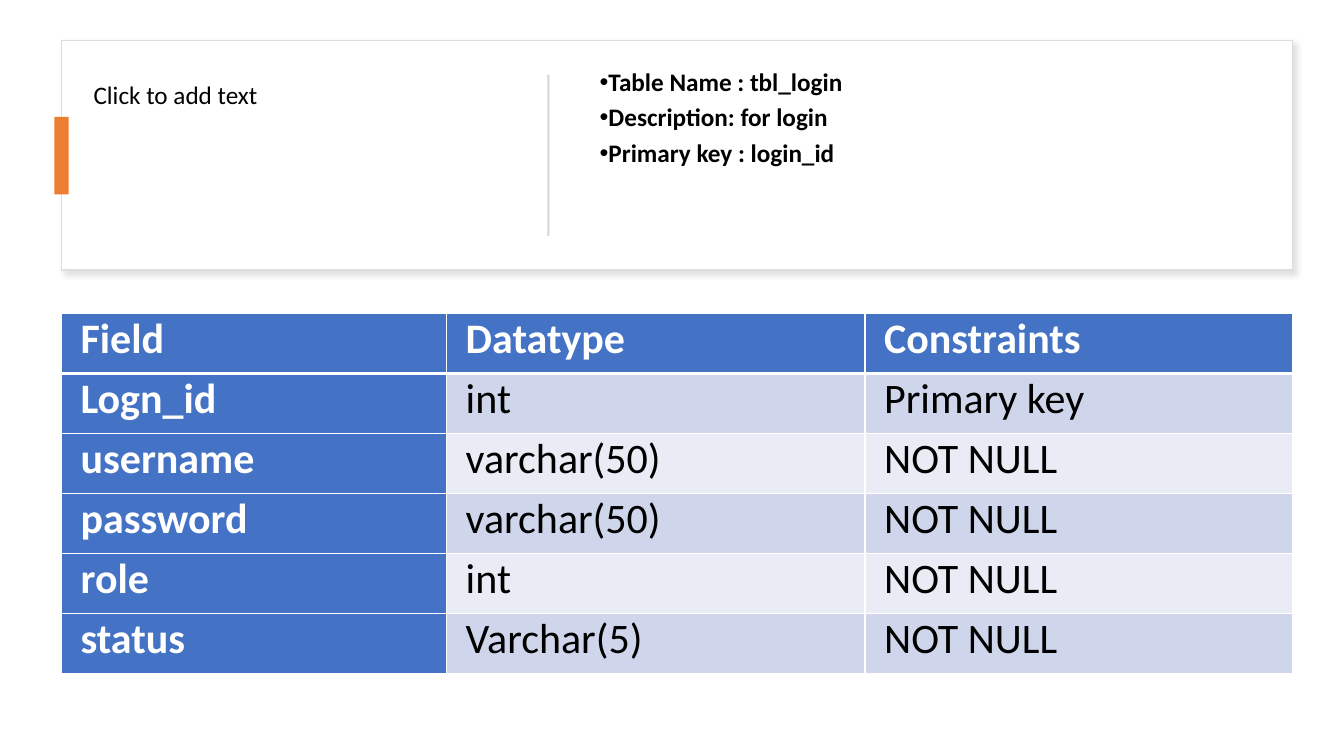
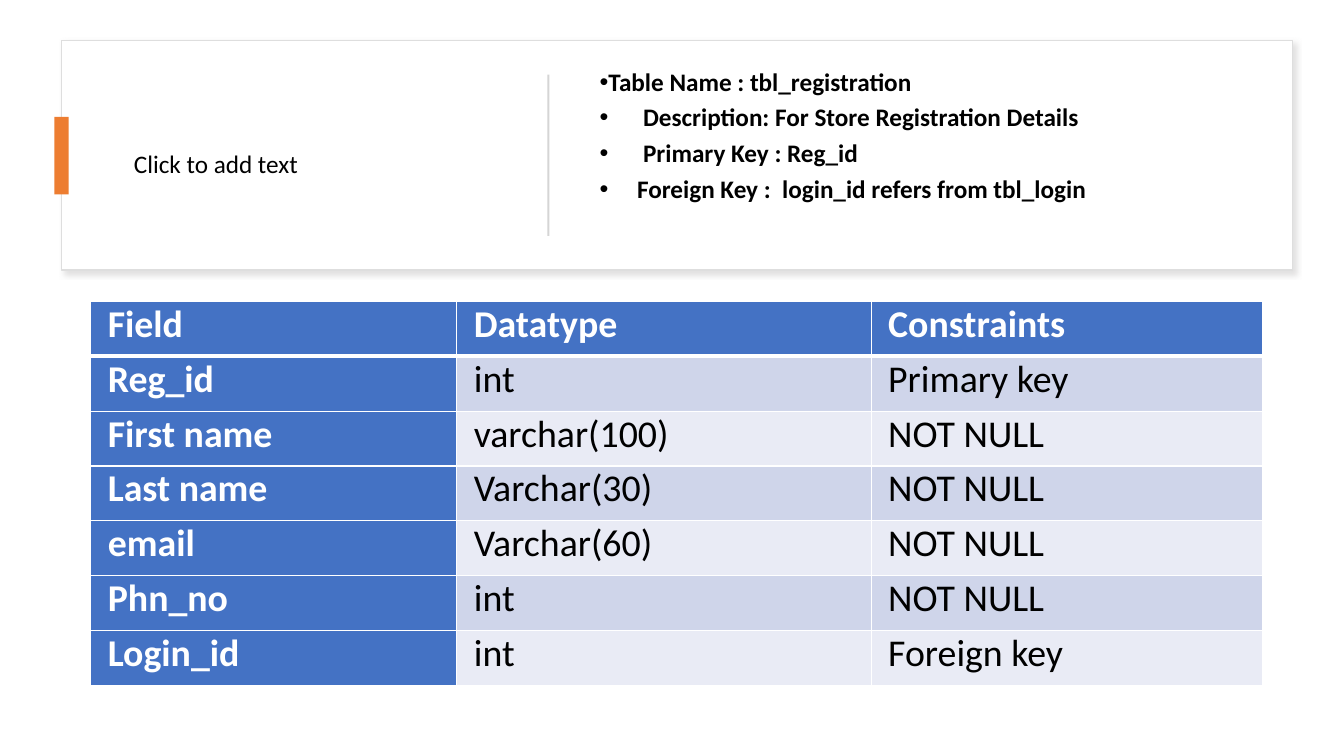
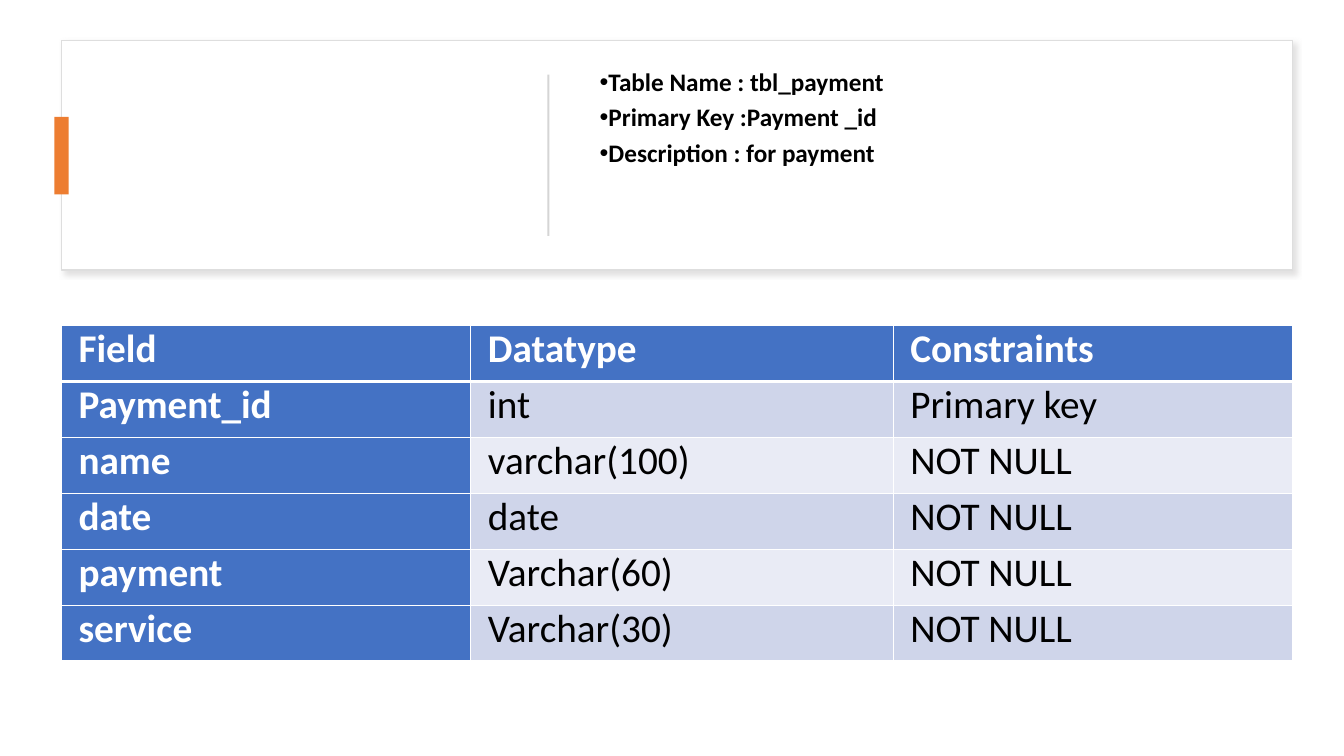
from dataclasses import dataclass

from lxml.etree import SubElement
from pptx import Presentation
from pptx.dml.color import RGBColor as RGB
from pptx.enum.shapes import MSO_SHAPE as SHAPE
from pptx.oxml import parse_xml
from pptx.oxml.ns import nsdecls, qn
from pptx.util import Emu, Pt

SCALE = 9144


def px(n):
    return Emu(n * SCALE)


@dataclass(frozen=True)
class Theme:
    font: str = "Calibri"
    body: int = 18
    white: str = "FFFFFF"
    black: str = "000000"
    outline: str = "DEDEDE"
    shadow: str = "C5C3C3"
    divider: str = "D5D5D5"
    accent: str = "ED7D31"
    head: str = "4472C4"
    bands: tuple = ("CFD5EA", "E9EBF5")
    rule: int = 1
    head_rule: int = 3


class Deck:
    def __init__(self, theme):
        self.theme = theme
        self.prs = Presentation()
        self.prs.slide_width, self.prs.slide_height = px(1333), px(750)
        self.slide = None

    def new_slide(self):
        t = self.theme
        self.slide = self.prs.slides.add_slide(self.prs.slide_layouts[6])
        panel = self.rect(61, 40, 1221, 228, t.white, t.outline)
        self.shadow(panel)
        self.rect(54, 116, 14, 77, t.accent)
        self.rect(543, 74, 2, 160, t.divider)

    def rect(self, x, y, w, h, fill, line=None):
        sp = self.slide.shapes.add_shape(SHAPE.RECTANGLE, px(x), px(y), px(w), px(h))
        sp.shadow.inherit = False
        sp.fill.solid()
        sp.fill.fore_color.rgb = RGB.from_string(fill)
        if line:
            sp.line.color.rgb = RGB.from_string(line)
            sp.line.width = Pt(self.theme.rule)
        else:
            sp.line.fill.background()
        return sp

    def shadow(self, sp):
        effects = sp._element.spPr.find(qn("a:effectLst"))
        effects.append(parse_xml(
            f'<a:outerShdw {nsdecls("a")} blurRad="{Pt(4)}" dist="{Pt(3)}" dir="2700000" '
            f'algn="tl" rotWithShape="0"><a:srgbClr val="{self.theme.shadow}">'
            f'<a:alpha val="50000"/></a:srgbClr></a:outerShdw>'))

    def add_text(self, p, text, size, color, bold=False):
        r = p.add_run()
        r.text = text
        style = {"name": self.theme.font, "size": Pt(size), "bold": bold}
        for key, value in style.items():
            setattr(r.font, key, value)
        r.font.color.rgb = RGB.from_string(color)

    def text_box(self, x, y, w, h):
        tf = self.slide.shapes.add_textbox(px(x), px(y), px(w), px(h)).text_frame
        tf.word_wrap = True
        return tf

    def prompt(self, x, y, w):
        tf = self.text_box(x, y, w, 40)
        self.add_text(tf.paragraphs[0], "Click to add text", self.theme.body, self.theme.black)

    def bullets(self, items):
        tf = self.text_box(585, 64, 656, 180)
        for i, (text, indent) in enumerate(items):
            p = tf.add_paragraph() if i else tf.paragraphs[0]
            for key, value in {"line_spacing": 0.9, "space_after": Pt(6)}.items():
                setattr(p, key, value)
            pPr = p._p.get_or_add_pPr()
            pPr.set("marL", str(px(indent)))
            pPr.set("indent", str(px(-indent)))
            SubElement(pPr, qn("a:buFont"), typeface="Arial")
            SubElement(pPr, qn("a:buChar"), char="•")
            self.add_text(p, text, self.theme.body, self.theme.black, True)

    def borders(self, cell, top, bottom):
        tcPr = cell._tc.get_or_add_tcPr()
        widths = {"lnL": self.theme.rule, "lnR": self.theme.rule, "lnT": top, "lnB": bottom}
        for i, (tag, width) in enumerate(widths.items()):
            tcPr.insert(i, parse_xml(
                f'<a:{tag} {nsdecls("a")} w="{Pt(width)}"><a:solidFill>'
                f'<a:srgbClr val="{self.theme.white}"/></a:solidFill></a:{tag}>'))

    def table(self, x, y, h, widths, size, inset, fields):
        t = self.theme
        rows = [("Field", "Datatype", "Constraints"), *fields]
        tbl = self.slide.shapes.add_table(
            len(rows), len(widths), px(x), px(y), px(sum(widths)), px(h)).table
        tbl.horz_banding = False
        for col, width in zip(tbl.columns, widths):
            col.width = px(width)
        margins = {"margin_left": px(inset), "margin_right": px(inset),
                   "margin_top": 0, "margin_bottom": 0}
        for i, row in enumerate(rows):
            tbl.rows[i].height = px(h) // len(rows)
            for j, text in enumerate(row):
                cell = tbl.cell(i, j)
                for key, value in margins.items():
                    setattr(cell, key, value)
                strong = i == 0 or j == 0
                cell.fill.solid()
                fill = t.head if strong else t.bands[(i - 1) % 2]
                cell.fill.fore_color.rgb = RGB.from_string(fill)
                self.borders(cell, t.head_rule if i == 1 else t.rule,
                             t.head_rule if i == 0 else t.rule)
                self.add_text(cell.text_frame.paragraphs[0], text, size,
                              t.white if strong else t.black, strong)


SLIDES = [
    {
        "bullets": [("Table Name : tbl_login", 0), ("Description: for login", 0),
                    ("Primary key : login_id", 0)],
        "table": {"x": 61, "y": 311, "h": 357, "widths": (382, 415, 424),
                  "size": 30, "inset": 19, "fields": [
                      ("Logn_id", "int", "Primary key"),
                      ("username", "varchar(50)", "NOT NULL"),
                      ("password", "varchar(50)", "NOT NULL"),
                      ("role", "int", "NOT NULL"),
                      ("status", "Varchar(5)", "NOT NULL")]},
        "prompt": (83, 74, 390),
    },
    {
        "bullets": [("Table Name : tbl_registration", 0),
                    ("Description: For Store Registration Details", 43),
                    ("Primary Key : Reg_id", 43),
                    ("Foreign Key :  login_id refers from tbl_login", 37)],
        "table": {"x": 90, "y": 299, "h": 381, "widths": (363, 411, 388),
                  "size": 27, "inset": 17, "fields": [
                      ("Reg_id", "int", "Primary key"),
                      ("First name", "varchar(100)", "NOT NULL"),
                      ("Last name", "Varchar(30)", "NOT NULL"),
                      ("email", "Varchar(60)", "NOT NULL"),
                      ("Phn_no", "int", "NOT NULL"),
                      ("Login_id", "int", "Foreign key")]},
        "prompt": (123, 142, 300),
    },
    {
        "bullets": [("Table Name : tbl_payment", 0), ("Primary Key :Payment _id", 0),
                    ("Description : for payment", 0)],
        "table": {"x": 61, "y": 323, "h": 333, "widths": (406, 419, 396),
                  "size": 28, "inset": 17, "fields": [
                      ("Payment_id", "int", "Primary key"),
                      ("name", "varchar(100)", "NOT NULL"),
                      ("date", "date", "NOT NULL"),
                      ("payment", "Varchar(60)", "NOT NULL"),
                      ("service", "Varchar(30)", "NOT NULL")]},
    },
]


def main():
    deck = Deck(Theme())
    for content in SLIDES:
        deck.new_slide()
        deck.bullets(content["bullets"])
        deck.table(**content["table"])
        if "prompt" in content:
            deck.prompt(*content["prompt"])
    deck.prs.save("out.pptx")


if __name__ == "__main__":
    main()
